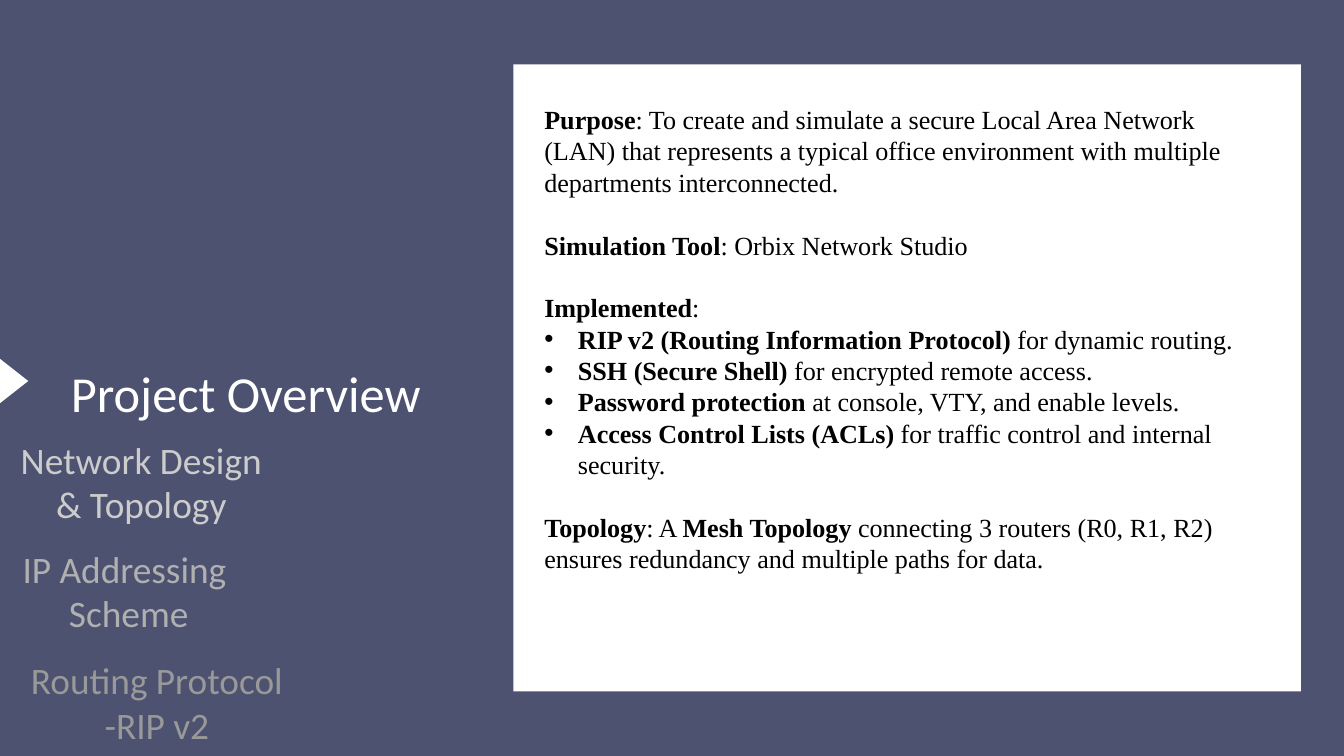
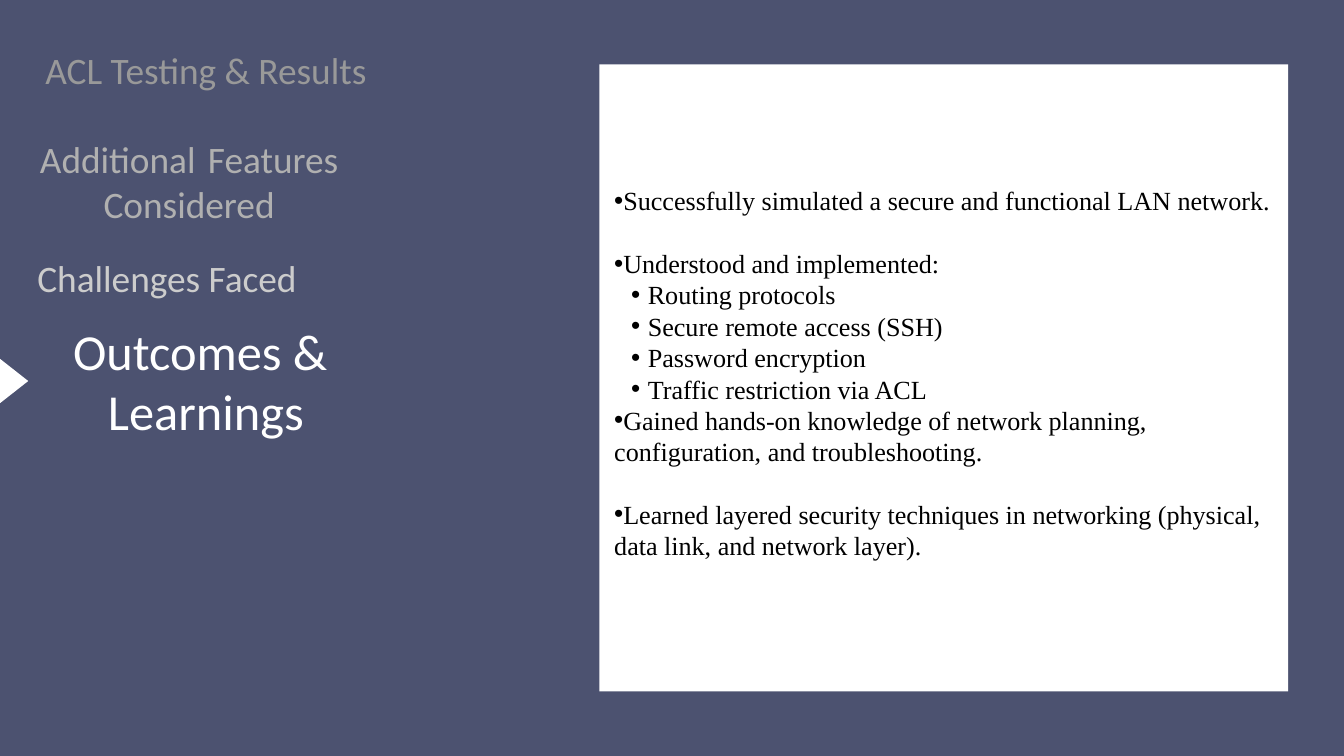
from lxml.etree import SubElement
from pptx import Presentation
from pptx.dml.color import RGBColor as RGB
from pptx.enum.shapes import MSO_SHAPE as Kind
from pptx.enum.text import MSO_ANCHOR as Anchor, MSO_AUTO_SIZE as Fit, PP_ALIGN as Align
from pptx.oxml.ns import qn
from pptx.util import Pt

HUES = {"back": "4C5270", "white": "FFFFFF", "ink": "000000",
        "near": "CCCCCC", "mid": "B0B0B0", "far": "999999"}
LEAD = 33.6
BULLETS = {"-": (0, 36, -36), "*": (0, 0, 0), "+": (1, 36, -18)}

PAGES = [
    {
        "title": ["Project Overview "],
        "title_box": (-12.24, 363.6, 563.76, 83.52),
        "title_lead": 89.6,
        "topics": [
            ("near", (-126, 468, 563.76, 97.2), ["Network Design ", "& Topology "]),
            ("mid", (-144, 584.64, 563.76, 97.2), ["IP Addressing ", "Scheme"]),
            ("far", (-113.76, 704.16, 563.76, 97.2), ["Routing Protocol", "-RIP v2"]),
        ],
        "panel": (550.08, 69.12, 843.84, 671.76),
        "body_box": (576, 107.28, 792, 550.08),
        "body": [
            ("", 0, "|Purpose|: To create and simulate a secure Local Area Network (LAN) that "
                    "represents a typical office environment with multiple departments interconnected."),
            ("", 1, "|Simulation Tool|: Orbix Network Studio"),
            ("", 1, "|Implemented|:"),
            ("-", 0, "|RIP v2 (Routing Information Protocol)| for dynamic routing."),
            ("-", 0, "|SSH (Secure Shell)| for encrypted remote access."),
            ("-", 0, "|Password protection| at console, VTY, and enable levels."),
            ("-", 0, "|Access Control Lists (ACLs)| for traffic control and internal security."),
            ("", 1, "|Topology|: A |Mesh Topology| connecting 3 routers (R0, R1, R2) ensures "
                    "redundancy and multiple paths for data."),
        ],
    },
    {
        "title": ["Outcomes & ", "Learnings"],
        "title_box": (-72, 342.72, 585.36, 131.04),
        "title_lead": None,
        "topics": [
            ("near", (-113.76, 272.88, 585.36, 48.24), ["Challenges Faced"]),
            ("mid", (-90, 146.16, 585.36, 97.2), ["Additional \tFeatures", "Considered"]),
            ("far", (-72, 50.4, 585.36, 48.24), ["ACL Testing & Results"]),
        ],
        "panel": (642.24, 69.12, 738, 671.76),
        "body_box": (650.88, 194.4, 720, 414.72),
        "body": [
            ("*", 0, "Successfully simulated a secure and functional LAN network."),
            ("*", 1, "Understood and implemented:"),
            ("+", 0, "Routing protocols"),
            ("+", 0, "Secure remote access (SSH)"),
            ("+", 0, "Password encryption"),
            ("+", 0, "Traffic restriction via ACL"),
            ("*", 0, "Gained hands-on knowledge of network planning, configuration, and "
                     "troubleshooting."),
            ("*", 1, "Learned layered security techniques in networking (physical, data link, "
                     "and network layer)."),
        ],
    },
]


def write(shape, box, rows, size, face, hue, align, lead, pad):
    shape.left, shape.top, shape.width, shape.height = map(Pt, box)
    frame = shape.text_frame
    frame.word_wrap = True
    frame.auto_size = Fit.NONE
    frame.vertical_anchor = Anchor.TOP
    frame.margin_left = frame.margin_right = Pt(pad * 2)
    frame.margin_top = frame.margin_bottom = Pt(pad)
    for i, (mark, gap, text) in enumerate(rows):
        para = frame.paragraphs[0] if i == 0 else frame.add_paragraph()
        level, left, first = BULLETS.get(mark, (0, 0, 0))
        para.level = level
        para.alignment = align
        para.line_spacing = Pt(lead) if lead else 1.0
        para.space_before = Pt(gap * LEAD)
        props = para._p.get_or_add_pPr()
        props.set("marL", str(Pt(left)))
        props.set("indent", str(Pt(first)))
        if mark:
            SubElement(props, qn("a:buFont"), typeface="Arial")
            SubElement(props, qn("a:buChar"), char="•")
        else:
            SubElement(props, qn("a:buNone"))
        font = para.font
        font.size, font.name = Pt(size), face
        font.color.rgb = RGB.from_string(HUES[hue])
        for j, part in enumerate(text.split("|")):
            if part:
                run = para.add_run()
                run.text = part
                if j % 2:
                    run.font.bold = True


def block(slide, kind, box):
    shape = slide.shapes.add_shape(kind, *map(Pt, box))
    shape.shadow.inherit = False
    shape.fill.solid()
    shape.fill.fore_color.rgb = RGB.from_string(HUES["white"])
    shape.line.fill.background()
    return shape


deck = Presentation()
deck.slide_width, deck.slide_height = Pt(1440), Pt(810)

for page in PAGES:
    slide = deck.slides.add_slide(deck.slide_layouts[1])
    slide.background.fill.solid()
    slide.background.fill.fore_color.rgb = RGB.from_string(HUES["back"])
    title, body = slide.placeholders

    panel = block(slide, Kind.RECTANGLE, page["panel"])
    body.element.addprevious(panel.element)
    arrow = block(slide, Kind.ISOSCELES_TRIANGLE, (-8.64, 393.12, 47.52, 30.24))
    arrow.rotation = 90

    write(title, page["title_box"], [("", 0, line) for line in page["title"]],
          54, "Calibri", "white", Align.CENTER, page["title_lead"], 0)
    write(body, page["body_box"], page["body"],
          28, "Times New Roman", "ink", Align.LEFT, LEAD, 3.6)
    for hue, box, lines in page["topics"]:
        topic = slide.shapes.add_textbox(*map(Pt, box))
        write(topic, box, [("", 0, line) for line in lines],
              40, "Calibri", hue, Align.CENTER, None, 0)

deck.save("out.pptx")
